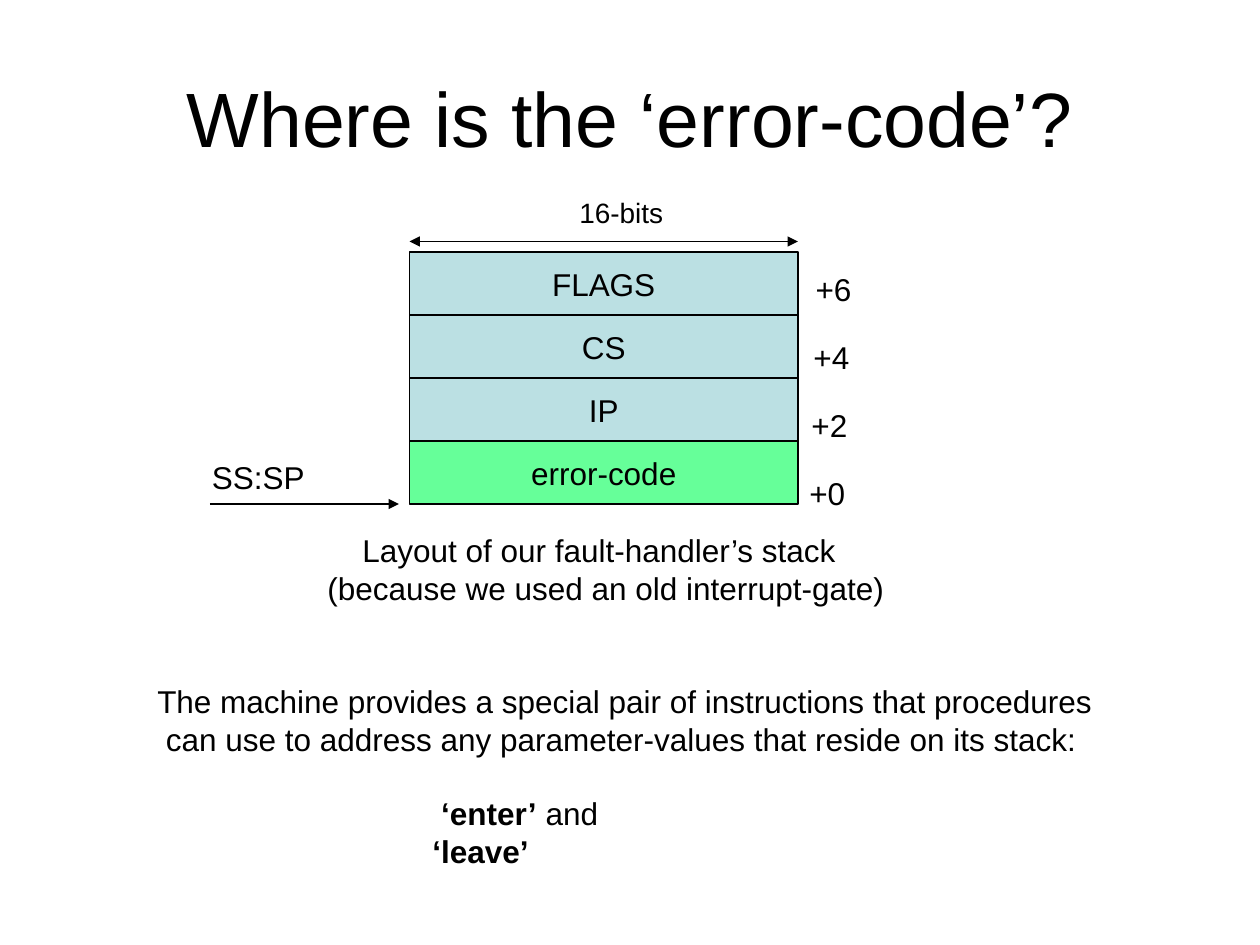
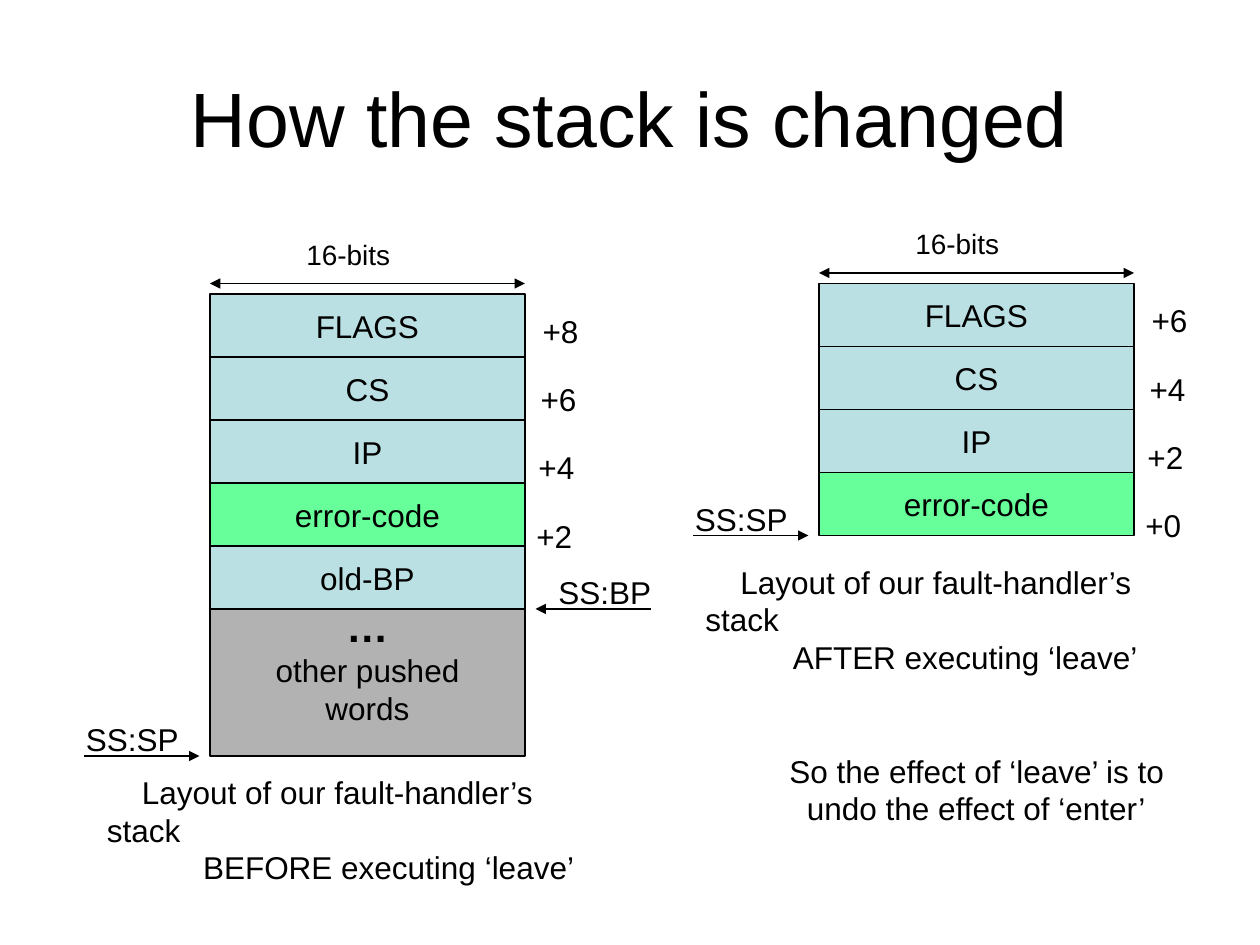
from lxml import etree
from pptx import Presentation
from pptx import util as u
from pptx.dml.color import RGBColor
from pptx.enum import shapes, text
from pptx.oxml import ns

# Lengths are cells of a grid, 120 columns by 90 rows, unless marked otherwise.
COLUMNS, ROWS = 120, 90
WIDTH, HEIGHT = u.Inches(10), u.Inches(7.5)
FONT, INK, BLUE, GREEN, GREY = "Arial", "000000", "BBE0E3", "66FF99", "B2B2B2"
ROW = 6                      # height of one word on the stack
SPACE = 5                    # points of indent per character step
TITLE_BOX = (6, 3.6, 108, 15)

# A line of text is (indent in steps, [(words, bold), ...]).
FRAME = [("FLAGS", BLUE), ("CS", BLUE), ("IP", BLUE), ("error-code", GREEN)]
LAYOUT_LINE = (4, [("Layout of our fault-handler’s stack", False)])

SLIDES = [
    {
        "title": "Where is the ‘error-code’?",
        "stacks": [{
            "at": (39, 24), "width": 37, "words": FRAME, "offsets": (6, 4, 2, 0),
            "bits_x": 54,
            # label, tail column, tip column, row, label height above the arrow
            "pointers": [("SS:SP", 20, 38, 48, 5)],
        }],
        "notes": [
            ((30, 50, 58), [LAYOUT_LINE,
                            (0, [("(because we used an old interrupt-gate)", False)])]),
            ((13.8, 64.4, 95), [
                (0, [("The machine provides a special pair of instructions "
                      "that procedures", False)]),
                (1, [("can use to address any parameter-values that reside "
                      "on its stack:", False)])]),
            ((40, 75, 28), [(1, [("‘enter’", True), (" and ", False),
                                 ("‘leave’", True)])]),
        ],
    },
    {
        "title": "How the stack is changed",
        "stacks": [
            {
                "at": (20, 28), "width": 30,
                "words": FRAME + [("old-BP", BLUE)], "offsets": (8, 6, 4, 2),
                "bits_x": 28,
                "pointers": [("SS:SP", 8, 19, 72, 4), ("SS:BP", 62, 51, 58, 4)],
                "rest": (["…", "other pushed", "words"], 14),
            },
            {
                "at": (78, 27), "width": 30, "words": FRAME, "offsets": (6, 4, 2, 0),
                "bits_x": 86,
                "pointers": [("SS:SP", 66, 77, 51, 4)],
            },
        ],
        "notes": [
            ((9, 73, 49), [LAYOUT_LINE,
                           (11, [("BEFORE executing ‘leave’", False)])]),
            ((66, 53, 49), [LAYOUT_LINE,
                            (10, [("AFTER executing ‘leave’", False)])]),
            ((74, 71, 40), [(0, [("So the effect of ‘leave’ is to", False)]),
                            (2, [("undo the effect of ‘enter’", False)])]),
        ],
    },
]


def color(value):
    """Turn a hex string into a colour."""
    return RGBColor.from_string(value)


def cells(x, y, *size):
    """Turn grid columns and rows into lengths, x and y in turn."""
    steps = (WIDTH / COLUMNS, HEIGHT / ROWS)
    return [u.Emu(round(v * steps[i % 2])) for i, v in enumerate((x, y) + size)]


def style(run, size=18, bold=False):
    """Give a run the shared font."""
    run.font.name, run.font.size, run.font.bold = FONT, u.Pt(size), bold
    run.font.color.rgb = color(INK)


def add_title(slide, words):
    """Fill and place the title placeholder."""
    sp = slide.shapes.title
    sp.left, sp.top, sp.width, sp.height = cells(*TITLE_BOX)
    tf = sp.text_frame
    tf.text, tf.vertical_anchor = words, text.MSO_ANCHOR.MIDDLE
    p = tf.paragraphs[0]
    p.alignment = text.PP_ALIGN.CENTER
    style(p.runs[0], 44)


def add_text(slide, at, lines, size=18):
    """Add a text box whose lines have first-line indents and bold runs."""
    x, y, width = at
    tf = slide.shapes.add_textbox(*cells(x, y, width, 4.5 * len(lines))).text_frame
    tf.word_wrap = True
    for i, (indent, runs) in enumerate(lines):
        p = tf.add_paragraph() if i else tf.paragraphs[0]
        p._p.get_or_add_pPr().set("indent", str(u.Pt(indent * SPACE)))
        for words, bold in runs:
            r = p.add_run()
            r.text = words
            style(r, size, bold)


def add_label(slide, at, words, size=18):
    """Add a one-line text box."""
    add_text(slide, at, [(0, [(words, False)])], size)


def add_box(slide, at, lines, fill):
    """Add an outlined box with centred lines."""
    sp = slide.shapes.add_shape(shapes.MSO_SHAPE.RECTANGLE, *cells(*at))
    sp.shadow.inherit = False
    sp.fill.solid()
    sp.fill.fore_color.rgb = color(fill)
    sp.line.color.rgb, sp.line.width = color(INK), u.Pt(0.74)
    tf = sp.text_frame
    tf.text, tf.word_wrap = "\n".join(lines), False
    tf.vertical_anchor = text.MSO_ANCHOR.MIDDLE
    for p in tf.paragraphs:
        p.alignment = text.PP_ALIGN.CENTER
        style(p.runs[0])
    return tf


def add_arrow(slide, start, end, both=False):
    """Add a thin arrow, with a head at one end or at both."""
    line = slide.shapes.add_connector(shapes.MSO_CONNECTOR.STRAIGHT,
                                      *cells(*start, *end))
    line.line.color.rgb, line.line.width = color(INK), u.Pt(0.74)
    for tag in ("a:headEnd", "a:tailEnd") if both else ("a:tailEnd",):
        etree.SubElement(line.line._get_or_add_ln(), ns.qn(tag), type="triangle")
    etree.SubElement(line._element.spPr, ns.qn("a:effectLst"))


def add_stack(slide, stack):
    """Draw a stack with its width mark, offsets and pointers."""
    (left, top), width = stack["at"], stack["width"]
    right = left + width
    for i, (word, fill) in enumerate(stack["words"]):
        add_box(slide, (left, top + i * ROW, width, ROW), [word], fill)
    if "rest" in stack:
        lines, height = stack["rest"]
        y = top + len(stack["words"]) * ROW
        tf = add_box(slide, (left, y, width, height), lines, GREY)
        tf.margin_top, tf.margin_bottom = 0, u.Inches(0.3)
        style(tf.paragraphs[0].runs[0], 24, True)
    add_label(slide, (stack["bits_x"], top - 6, 12), "16-bits", 16)
    add_arrow(slide, (left, top - 1), (right, top - 1), both=True)
    for i, offset in enumerate(stack["offsets"]):
        at = (right + 0.5 - 0.2 * i, top + 1.1 + 6.5 * i, 7)
        add_label(slide, at, f"+{offset}")
    for word, tail, tip, y, rise in stack["pointers"]:
        x = tail - 1 if tail < tip else tip + 1
        add_label(slide, (x, y - rise, 13), word)
        add_arrow(slide, (tail, y), (tip, y))


prs = Presentation()
prs.slide_width, prs.slide_height = WIDTH, HEIGHT
for content in SLIDES:
    s = prs.slides.add_slide(prs.slide_layouts[5])
    add_title(s, content["title"])
    for stack in content["stacks"]:
        add_stack(s, stack)
    for at, lines in content["notes"]:
        add_text(s, at, lines)
prs.save("out.pptx")
